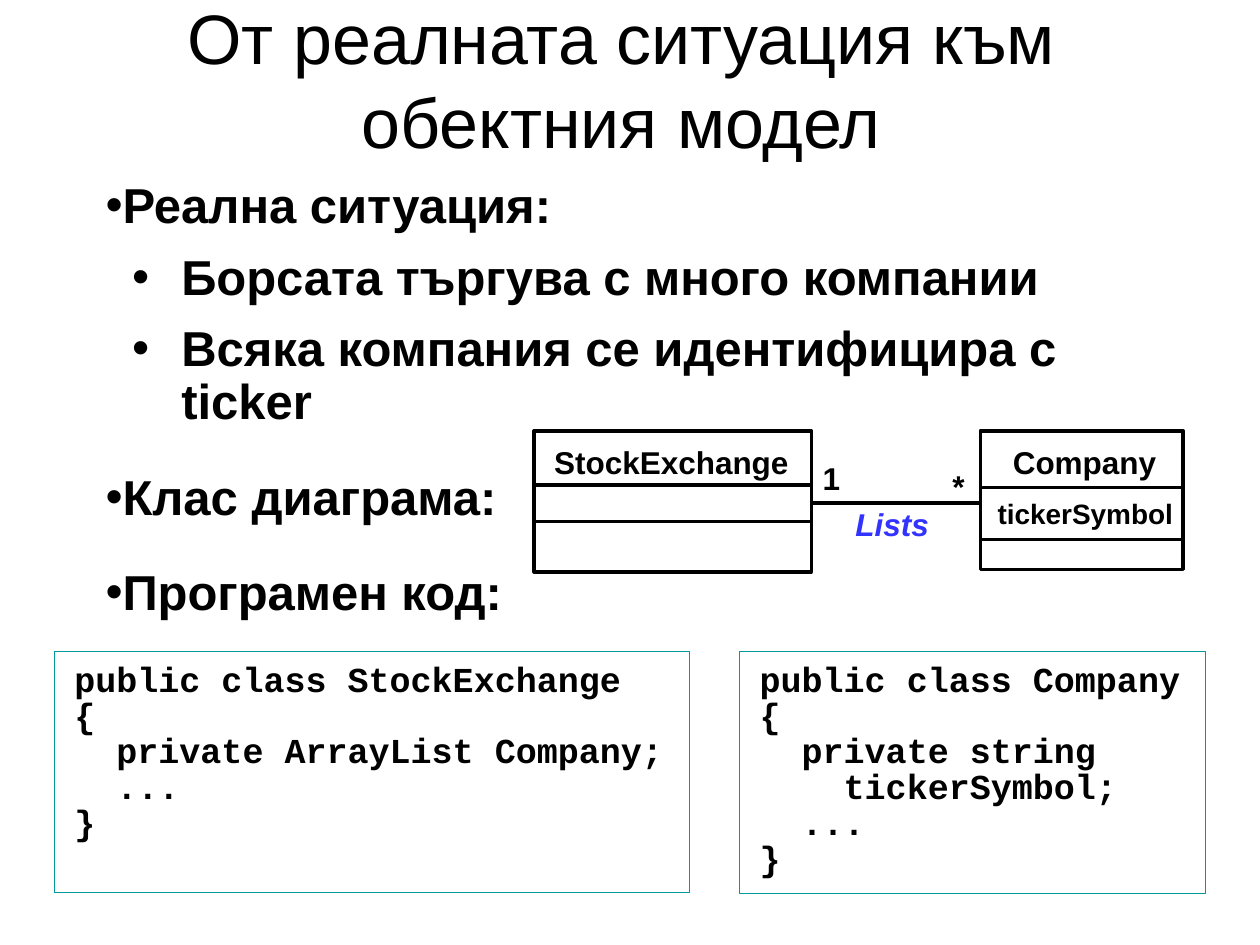
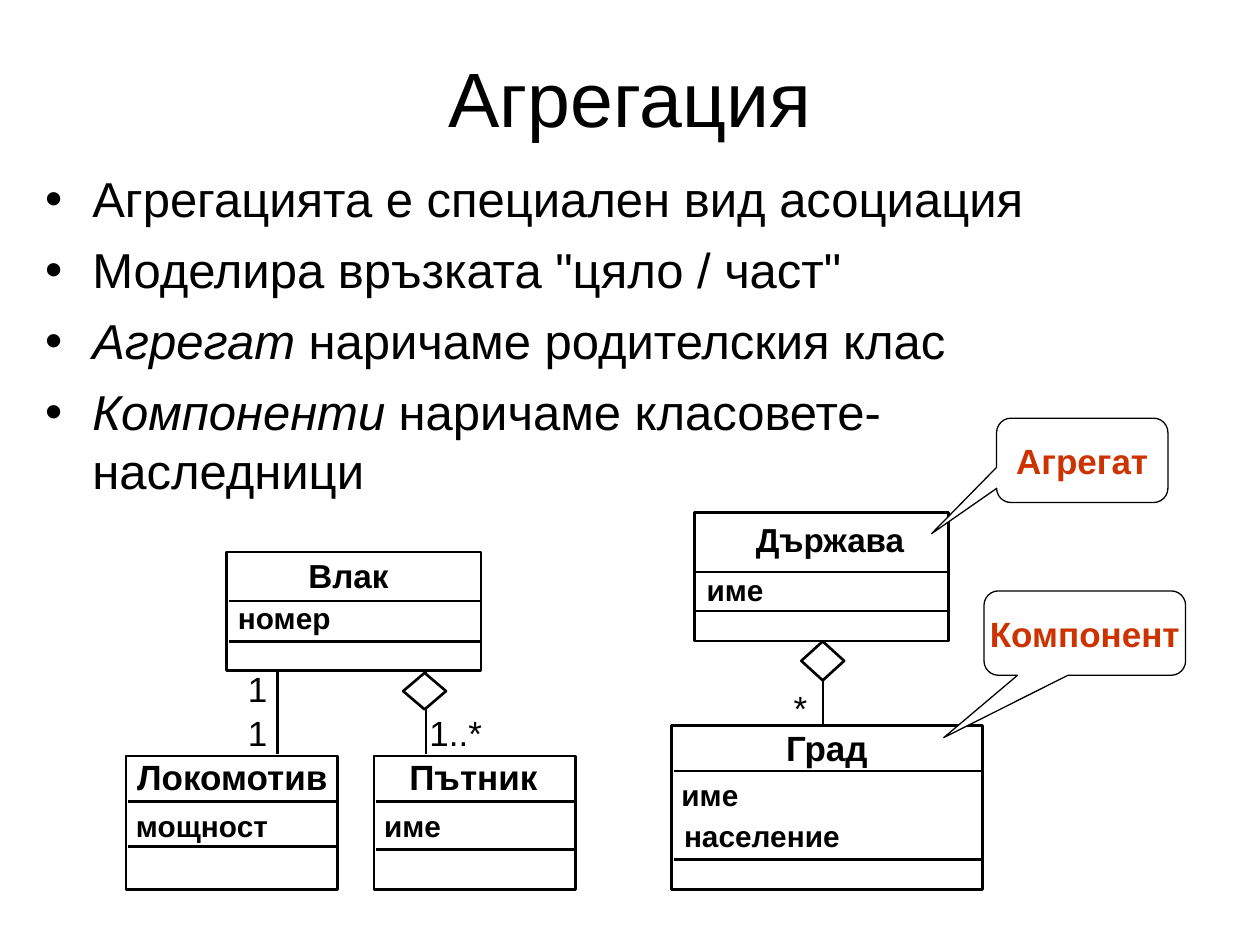
from lxml import etree
from pptx import Presentation
from pptx.dml.color import RGBColor
from pptx.enum.shapes import MSO_CONNECTOR, MSO_SHAPE as Shape
from pptx.enum.text import MSO_ANCHOR as Anchor, MSO_AUTO_SIZE as AutoSize, PP_ALIGN as Align
from pptx.oxml.ns import qn
from pptx.util import Pt

BLACK, WHITE, BLUE, RED, TEAL = "000000", "FFFFFF", "3333FF", "CC3300", "009999"
BODY_FONT, CODE_FONT = "Arial", "Courier New"

MODEL_TITLE = ("От реалната ситуация към обектния модел", (31, 0, 648, 90), 40)
MODEL_BODY = (25.2, 100.1, 663.8, 258.5)
HEADING, DETAIL = (0, 28), (71.3, -28.1)
MODEL_BULLETS = [
    ("Реална ситуация:", HEADING, 0),
    ("Борсата търгува с много компании", DETAIL, 10.5),
    ("Всяка компания се идентифицира с ticker", DETAIL, 10.5),
    ("Клас диаграма:", HEADING, 24.5),
    ("Програмен код:", HEADING, 24.5),
]
MODEL_CLASSES = [
    {"box": (305.3, 246.2, 158.4, 80.6), "dividers": (277.2, 298.1),
     "labels": [("StockExchange", 309.6, 249.8, 148.3, 18)]},
    {"box": (560.2, 246.2, 115.9, 79.2), "dividers": (278.6, 308.2),
     "labels": [("Company", 571.7, 249.8, 96.5, 18), ("tickerSymbol", 563, 280.1, 114.5, 16)]},
]
MODEL_LINK = (463.7, 287.3, 560.2, 287.3)
MODEL_MARKS = [("1", 463, 258.5, 24.5), ("*", 537.1, 263.5, 21.6)]
LINK_NAME = ("Lists", 481.7, 285.1, 61.2)
CODE_BOXES = [
    ((31, 372.2, 362.9, 137.5), """public class StockExchange
{
  private ArrayList Company;
  ...
}"""),
    ((422.6, 372.2, 266.4, 138.2), """public class Company
{
  private string
    tickerSymbol;
  ...
}"""),
]

AGGREGATION_TITLE = ("Агрегация", (36, 21.6, 648, 67), 44)
AGGREGATION_BODY = (18.7, 92.9, 624.2, 211.7)
AGGREGATION_BULLETS = [
    ("", "Агрегацията е специален вид асоциация"),
    ("", "Моделира връзката \"цяло / част\""),
    ("Агрегат", " наричаме родителския клас"),
    ("Компоненти", " наричаме класовете-наследници"),
]
AGGREGATION_CLASSES = [
    {"box": (396.7, 293, 145.4, 73.4), "dividers": (326.9, 349.2),
     "labels": [("Държава", 424.8, 293, 99.4, 19), ("име", 396.7, 323.3, 46.8, 17)]},
    {"box": (129.6, 315.4, 145.4, 67.7), "dividers": (343.4, 366.5),
     "labels": [("Влак", 169.2, 313.9, 59.8, 19), ("номер", 128.9, 339.1, 67.7, 17)]},
    {"box": (72, 432, 121, 76.3), "dividers": (457.9, 483.8),
     "labels": [("Локомотив", 71.3, 428.4, 124.6, 20), ("мощност", 70.6, 457.9, 90, 17)]},
    {"box": (213.8, 432, 115.2, 76.3), "dividers": (457.9, 485.3),
     "labels": [("Пътник", 226.8, 428.4, 87.8, 20), ("име", 212.4, 457.9, 46.8, 17)]},
    {"box": (383.8, 414.7, 177.8, 93.6), "dividers": (440.6, 491),
     "labels": [("Град", 442.1, 411.8, 61.9, 20), ("име", 382.3, 440.6, 46.8, 17),
                ("население", 383.8, 463.7, 103.7, 17)]},
]
AGGREGATION_LINKS = [(243.4, 383, 243.4, 430.6), (158.4, 383, 158.4, 430.6),
                     (470.2, 367.2, 470.2, 414.7)]
AGGREGATION_MARKS = [("1", 134.6, 378, 23.8), ("1", 134.6, 403.2, 23.8),
                     ("1..*", 238.3, 403.2, 63.4), ("*", 446.4, 388.8, 63.4)]
DIAMONDS = [(457.9, 366.5, 24.5, 22.3), (230.4, 384.5, 24.5, 20.9)]
CALLOUTS = [
    ("Агрегат", (569.5, 239, 97.9, 48.2), (-0.88, 0.87, 0.17)),
    ("Компонент", (562.3, 337.7, 115.2, 48.2), (-0.7, 1.24, 0.17)),
]


def color(value):
    return RGBColor.from_string(value)


def points(values):
    return [Pt(value) for value in values]


def set_font(target, size, bold=False, fill=BLACK, name=BODY_FONT, italic=False):
    for paragraph in target.paragraphs:
        for run in paragraph.runs:
            font = run.font
            font.name, font.size, font.bold, font.italic = name, Pt(size), bold, italic
            font.color.rgb = color(fill)


def add_text(slide, text, box, size, wrap=False, **style):
    text_frame = slide.shapes.add_textbox(*points(box)).text_frame
    text_frame.word_wrap = wrap
    text_frame.auto_size = AutoSize.NONE
    text_frame.text = text
    set_font(text_frame, size, **style)
    return text_frame


def add_label(slide, text, left, top, width, size, **style):
    add_text(slide, text, (left, top, width, size * 1.2 + 7.2), size, **style)


def add_title(slide, text, box, size):
    text_frame = add_text(slide, text, box, size, wrap=True)
    text_frame.vertical_anchor = Anchor.MIDDLE
    text_frame.paragraphs[0].alignment = Align.CENTER


def add_box(slide, kind, box, line, weight, fill=None):
    shape = slide.shapes.add_shape(kind, *points(box))
    shape.shadow.inherit = False
    shape.line.color.rgb = color(line)
    shape.line.width = Pt(weight)
    if fill:
        shape.fill.solid()
        shape.fill.fore_color.rgb = color(fill)
    else:
        shape.fill.background()
    return shape


def add_line(slide, ends, weight):
    line = slide.shapes.add_connector(MSO_CONNECTOR.STRAIGHT, *points(ends))
    line.line.color.rgb = color(BLACK)
    line.line.width = Pt(weight)
    etree.SubElement(line._element.spPr, qn("a:effectLst"))


def add_class(slide, uml_class, weight, divider_inset):
    left, top, width, height = uml_class["box"]
    add_box(slide, Shape.RECTANGLE, uml_class["box"], BLACK, weight)
    for divider in uml_class["dividers"]:
        add_line(slide, (left + divider_inset, divider, left + width, divider), weight)
    for label in uml_class["labels"]:
        add_label(slide, *label, bold=True)


def set_bullet(paragraph, margin, indent, space_before):
    properties = paragraph._p.get_or_add_pPr()
    properties.set("marL", str(Pt(margin)))
    properties.set("indent", str(Pt(indent)))
    etree.SubElement(properties, qn("a:buFont")).set("typeface", BODY_FONT)
    etree.SubElement(properties, qn("a:buChar")).set("char", "•")
    paragraph.space_before = Pt(space_before)


def add_code(slide, box, code):
    shape = add_box(slide, Shape.RECTANGLE, box, TEAL, 0.25, WHITE)
    solid = shape.fill._xPr.find(qn("a:solidFill"))
    etree.SubElement(solid[0], qn("a:alpha")).set("val", "40000")
    text_frame = shape.text_frame
    text_frame.word_wrap = True
    text_frame.vertical_anchor = Anchor.TOP
    text_frame.margin_left = text_frame.margin_right = Pt(11.5)
    text_frame.margin_top, text_frame.margin_bottom = Pt(7.2), Pt(8.6)
    text_frame.text = code
    for paragraph in text_frame.paragraphs:
        paragraph.alignment = Align.LEFT
        paragraph.line_spacing = 0.85
    set_font(text_frame, 20, bold=True, name=CODE_FONT)


def add_callout(slide, text, box, adjustments):
    shape = add_box(slide, Shape.ROUNDED_RECTANGULAR_CALLOUT, box, BLACK, 0.75, WHITE)
    for index, value in enumerate(adjustments):
        shape.adjustments[index] = value
    text_frame = shape.text_frame
    text_frame.word_wrap = False
    text_frame.vertical_anchor = Anchor.MIDDLE
    text_frame.text = text
    text_frame.paragraphs[0].alignment = Align.CENTER
    set_font(text_frame, 20, bold=True, fill=RED)


def build_model_slide(slide):
    text = "\n".join(bullet[0] for bullet in MODEL_BULLETS)
    body = add_text(slide, text, MODEL_BODY, 28, wrap=True, bold=True)
    for paragraph, (_, indents, space_before) in zip(body.paragraphs, MODEL_BULLETS):
        set_bullet(paragraph, *indents, space_before)
        paragraph.line_spacing = 0.9
    for uml_class in MODEL_CLASSES:
        add_class(slide, uml_class, 2, 0)
    add_line(slide, MODEL_LINK, 2)
    for mark in MODEL_MARKS:
        add_label(slide, *mark, 18, bold=True)
    add_label(slide, *LINK_NAME, 18, bold=True, italic=True, fill=BLUE)
    for box, code in CODE_BOXES:
        add_code(slide, box, code)
    add_title(slide, *MODEL_TITLE)


def build_aggregation_slide(slide):
    add_title(slide, *AGGREGATION_TITLE)
    for uml_class in AGGREGATION_CLASSES:
        add_class(slide, uml_class, 1.5, 1.2)
    for link in AGGREGATION_LINKS:
        add_line(slide, link, 1.5)
    for mark in AGGREGATION_MARKS:
        add_label(slide, *mark, 20)
    for diamond in DIAMONDS:
        add_box(slide, Shape.DIAMOND, diamond, BLACK, 1.5, WHITE)
    for callout in CALLOUTS:
        add_callout(slide, *callout)
    body = add_text(slide, "", AGGREGATION_BODY, 28, wrap=True)
    for index, (term, rest) in enumerate(AGGREGATION_BULLETS):
        paragraph = body.add_paragraph() if index else body.paragraphs[0]
        set_bullet(paragraph, 27, -27, 7 if index else 0)
        for part in filter(None, (term, rest)):
            paragraph.add_run().text = part
    set_font(body, 28)
    for paragraph, (term, _) in zip(body.paragraphs, AGGREGATION_BULLETS):
        paragraph.runs[0].font.italic = bool(term)


def main():
    presentation = Presentation()
    presentation.slide_width, presentation.slide_height = Pt(720), Pt(540)
    for build in (build_model_slide, build_aggregation_slide):
        build(presentation.slides.add_slide(presentation.slide_layouts[6]))
    presentation.save("out.pptx")


if __name__ == "__main__":
    main()
